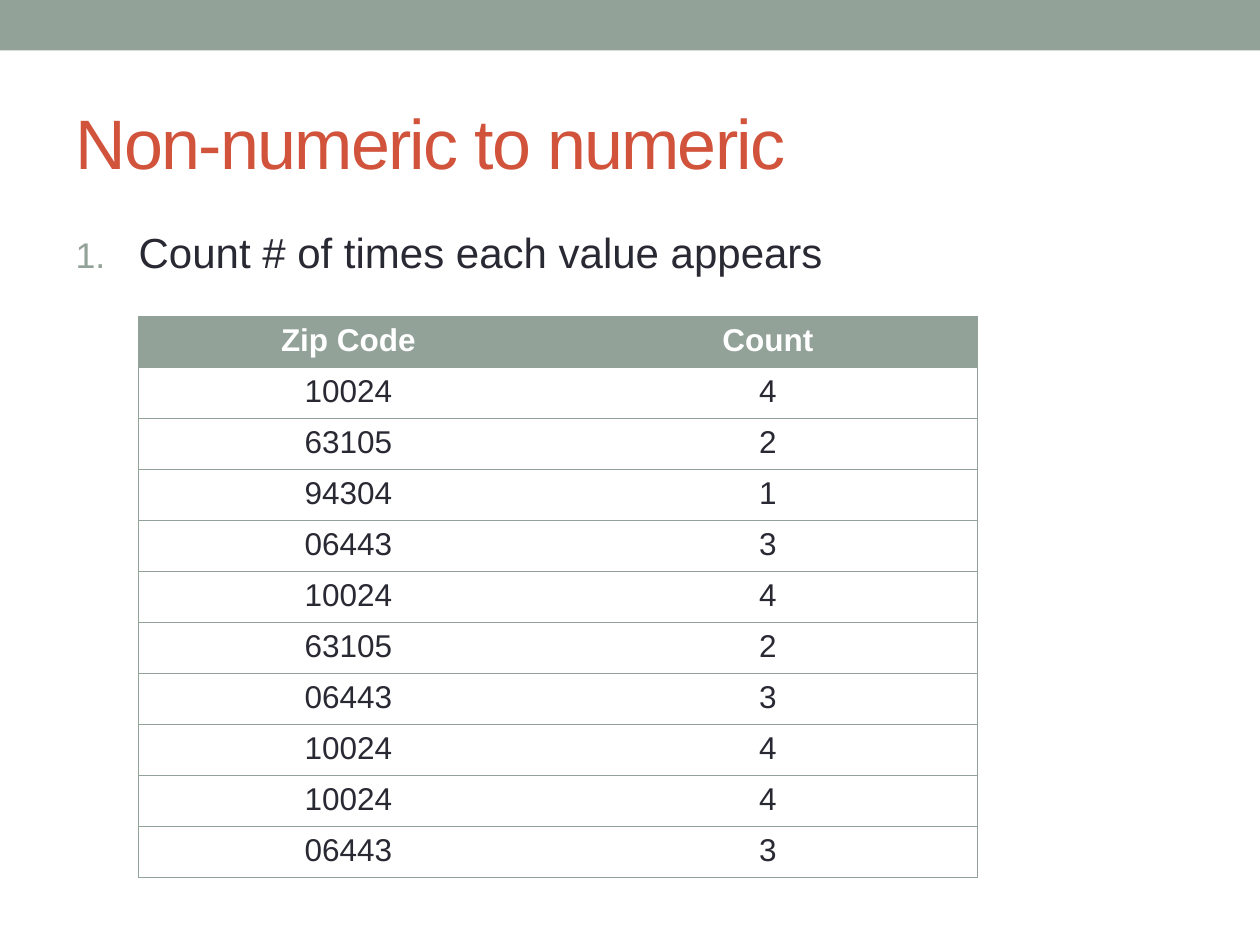
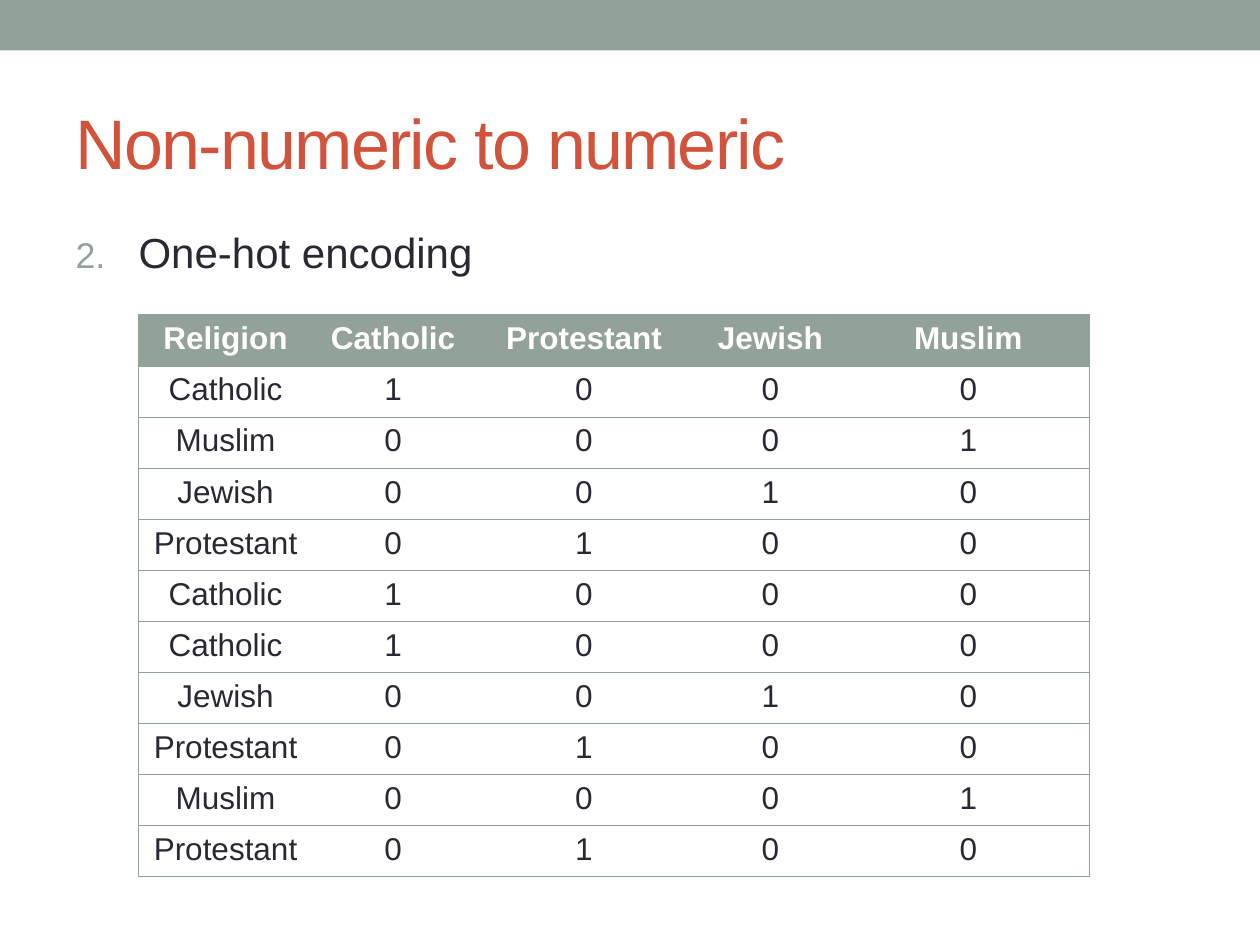
from collections import Counter

from lxml import etree
from pptx import Presentation
from pptx.dml.color import RGBColor
from pptx.enum.shapes import MSO_SHAPE
from pptx.enum.text import MSO_ANCHOR, MSO_AUTO_SIZE, PP_ALIGN
from pptx.oxml.ns import qn
from pptx.util import Inches, Pt

RECTANGLE = MSO_SHAPE.RECTANGLE
LEFT, CENTER = PP_ALIGN.LEFT, PP_ALIGN.CENTER
TOP, MIDDLE = MSO_ANCHOR.TOP, MSO_ANCHOR.MIDDLE
NO_AUTOFIT = MSO_AUTO_SIZE.NONE

FONT = "Arial"
SAGE, RUST, INK, WHITE = "93A299", "D2533C", "292934", "FFFFFF"

TITLE = "Non-numeric to numeric"
ZIP_CODES = ["10024", "63105", "94304", "06443", "10024",
             "63105", "06443", "10024", "10024", "06443"]
RELIGIONS = ["Catholic", "Muslim", "Jewish", "Protestant", "Catholic",
             "Catholic", "Jewish", "Protestant", "Muslim", "Protestant"]
CATEGORIES = ["Catholic", "Protestant", "Jewish", "Muslim"]


def count_rows(values):
    counts = Counter(values)
    return [(value, counts[value]) for value in values]


def one_hot_rows(values, categories):
    return [(value, *(int(value == category) for category in categories))
            for value in values]


METHODS = [
    {"number": 1, "name": "Count # of times each value appears",
     "rows": [("Zip Code", "Count"), *count_rows(ZIP_CODES)],
     "top": 2.51, "widths": [3.33, 3.33]},
    {"number": 2, "name": "One-hot encoding",
     "rows": [("Religion", *CATEGORIES), *one_hot_rows(RELIGIONS, CATEGORIES)],
     "top": 2.5, "widths": [1.38, 1.28, 1.75, 1.21, 1.93]},
]
TABLE_LEFT, TABLE_HEIGHT = 1.1, 4.46


def color(value):
    return RGBColor.from_string(value)


def add_element(parent, tag, **attributes):
    return etree.SubElement(parent, qn(tag), attributes)


def format_paragraph(paragraph, size, font_color, alignment, bold=False):
    paragraph.alignment = alignment
    font = paragraph.font
    font.name, font.size, font.bold = FONT, Pt(size), bold
    font.color.rgb = color(font_color)


def place_text(placeholder, text, box, anchor):
    """Fill a placeholder, move it to box and return its paragraph."""
    placeholder.left, placeholder.top, placeholder.width, placeholder.height = map(Inches, box)
    frame = placeholder.text_frame
    frame.text = text
    frame.auto_size = NO_AUTOFIT
    frame.vertical_anchor = anchor
    return frame.paragraphs[0]


def number_paragraph(paragraph, number):
    properties = paragraph._p.get_or_add_pPr()
    properties.set("marL", str(Inches(0.5)))
    properties.set("indent", str(-Inches(0.5)))
    add_element(add_element(properties, "a:buClr"), "a:srgbClr", val=SAGE)
    add_element(properties, "a:buSzPct", val="85000")
    add_element(properties, "a:buFont", typeface=FONT)
    add_element(properties, "a:buAutoNum", type="arabicPeriod", startAt=str(number))


def set_borders(cell, visible_sides):
    properties = cell._tc.get_or_add_tcPr()
    for side in "LRTB":
        line = add_element(properties, f"a:ln{side}", w=str(Pt(0.75)))
        if side in visible_sides:
            add_element(add_element(line, "a:solidFill"), "a:srgbClr", val=SAGE)
        else:
            add_element(line, "a:noFill")


def add_band(slide, width):
    band = slide.shapes.add_shape(RECTANGLE, 0, 0, width, Inches(0.4))
    band.shadow.inherit = False
    band.fill.solid()
    band.fill.fore_color.rgb = color(SAGE)
    band.line.fill.background()


def add_method_table(slide, rows, top, widths):
    table = slide.shapes.add_table(
        len(rows), len(widths), Inches(TABLE_LEFT), Inches(top),
        Inches(sum(widths)), Inches(TABLE_HEIGHT)).table
    table.horz_banding = False
    for column, width in zip(table.columns, widths):
        column.width = Inches(width)
    last_column = len(widths) - 1
    for row_index, values in enumerate(rows):
        is_header = row_index == 0
        for column_index, value in enumerate(values):
            cell = table.cell(row_index, column_index)
            cell.text = str(value)
            format_paragraph(cell.text_frame.paragraphs[0], 18,
                             WHITE if is_header else INK, CENTER, is_header)
            set_borders(cell, "TB" + "L" * (column_index == 0)
                        + "R" * (column_index == last_column))
            if is_header:
                cell.fill.solid()
                cell.fill.fore_color.rgb = color(SAGE)
            else:
                cell.fill.background()


def add_method_slide(presentation, method):
    slide = presentation.slides.add_slide(presentation.slide_layouts[1])
    add_band(slide, presentation.slide_width)

    title = place_text(slide.shapes.title, TITLE, (0.5, 0.58, 9, 1.08), MIDDLE)
    format_paragraph(title, 40, RUST, LEFT)
    title.runs[0]._r.get_or_add_rPr().set("spc", "-100")

    heading = place_text(slide.placeholders[1], method["name"], (0.5, 1.75, 9, 0.65), TOP)
    number_paragraph(heading, method["number"])
    format_paragraph(heading, 24, INK, LEFT)

    add_method_table(slide, method["rows"], method["top"], method["widths"])


def main():
    presentation = Presentation()
    presentation.slide_width, presentation.slide_height = Inches(10), Inches(7.5)
    for method in METHODS:
        add_method_slide(presentation, method)
    presentation.save("out.pptx")


if __name__ == "__main__":
    main()
